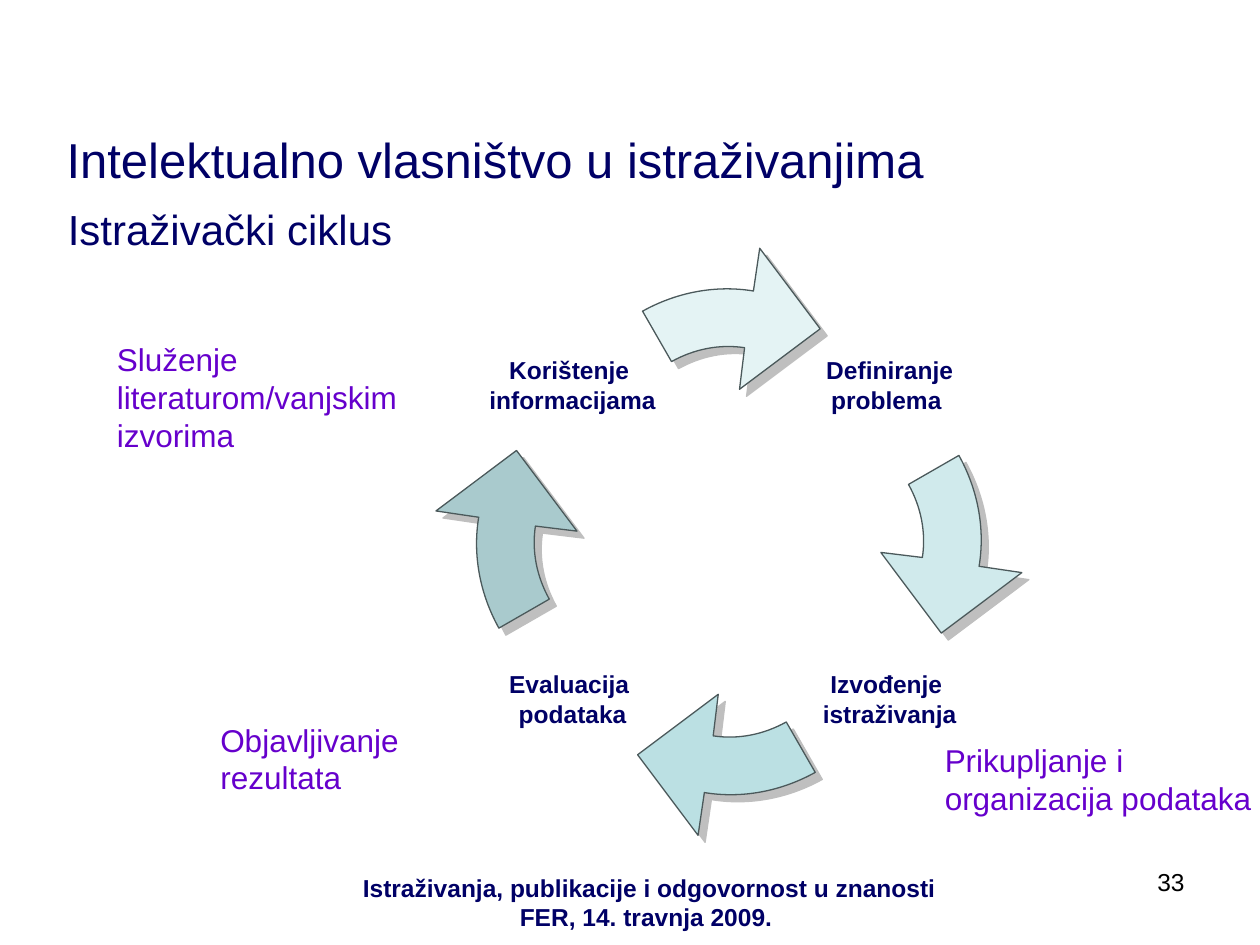
"""Build the research cycle slide, with lengths in px of 1/100 inch."""
import math
from dataclasses import dataclass

import lxml.etree
import pptx
import pptx.dml.color
import pptx.enum.shapes
import pptx.enum.text
import pptx.oxml
import pptx.oxml.ns
import pptx.util

SCALE = 9144
FONT = "Arial"
COLORS = {
    "navy": "000066", "violet": "6600CC", "black": "000000",
    "edge": "4B595B", "shade": "808080",
    "mist": "E4F3F4", "ice": "D0EAEC", "aqua": "BBE0E3", "teal": "A9CACD",
}
ALIGN = pptx.enum.text.PP_ALIGN
ANCHOR = pptx.enum.text.MSO_ANCHOR
RECT = pptx.enum.shapes.MSO_SHAPE.RECTANGLE


@dataclass(frozen=True)
class Box:
    left: int
    top: int
    width: int
    height: int


@dataclass(frozen=True)
class Label:
    text: str
    left: int
    top: int


@dataclass(frozen=True)
class Note:
    text: str
    box: Box


@dataclass(frozen=True)
class Arrow:
    color: str
    turn: int


LABELS = [
    Label("Izvođenje\n istraživanja", 652, 503),
    Label("Korištenje \ninformacijama", 403, 254),
    Label("Evaluacija \npodataka", 403, 503),
    Label(" Definiranje\nproblema", 652, 254),
]
NOTES = [
    Note("Služenje literaturom/vanjskim izvorima", Box(83, 265, 276, 100)),
    Note("Prikupljanje i\norganizacija podataka", Box(740, 583, 303, 70)),
    Note("Objavljivanje rezultata", Box(165, 567, 169, 70)),
]
ARROWS = [Arrow(name, 90 * i) for i, name in enumerate(("mist", "ice", "aqua", "teal"))]
SIDE = 273
BEND = [
    ("moveTo", [(149, 47)]),
    ("cubicBezTo", [(129, 44), (109, 48), (91, 58)]),
    ("lnTo", [(68, 18)]),
    ("cubicBezTo", [(95, 3), (126, -3), (156, 2)]),
    ("lnTo", [(161, -32)]),
    ("lnTo", [(209, 32)]),
    ("lnTo", [(145, 80)]),
    ("close", []),
]


def px(size: float) -> int:
    """Turn px into EMU."""
    return round(size * SCALE)


def tint(name: str) -> pptx.dml.color.RGBColor:
    """Look up a named colour."""
    return pptx.dml.color.RGBColor.from_string(COLORS[name])


def write(slide, text: str, box: Box, *, size: int = 14, color: str = "navy",
          bold: bool = False, align=ALIGN.LEFT, anchor=ANCHOR.TOP,
          wrap: bool = True, inset: tuple[int, int] = (10, 5)) -> None:
    """Add text with one paragraph per line, in a bare rectangle if unwrapped."""
    place = px(box.left), px(box.top), px(box.width), px(box.height)
    if wrap:
        shape = slide.shapes.add_textbox(*place)
    else:
        shape = slide.shapes.add_shape(RECT, *place)
        shape.shadow.inherit = False
        shape.fill.background()
        shape.line.fill.background()
    frame = shape.text_frame
    frame.word_wrap = wrap
    frame.vertical_anchor = anchor
    frame.margin_left = frame.margin_right = px(inset[0])
    frame.margin_top = frame.margin_bottom = px(inset[1])
    frame.text = text
    for para in frame.paragraphs:
        para.alignment = align
        for run in para.runs:
            run.font.name = FONT
            run.font.size = pptx.util.Pt(size)
            run.font.bold = bold
            run.font.color.rgb = tint(color)


def shade(shape) -> None:
    """Give a shape a hard shadow to the lower right."""
    qn = pptx.oxml.ns.qn
    shape.shadow.inherit = False
    effect = shape._element.spPr.find(qn("a:effectLst"))
    outer = lxml.etree.SubElement(effect, qn("a:outerShdw"), blurRad="0",
                                  dist="72390", dir="2700000", algn="ctr", rotWithShape="0")
    color = lxml.etree.SubElement(outer, qn("a:srgbClr"), val=COLORS["shade"])
    lxml.etree.SubElement(color, qn("a:alpha"), val="50000")


def bend(shape) -> None:
    """Give a freeform the curved arrow outline."""
    qn = pptx.oxml.ns.qn
    track = next(shape._element.iter(qn("a:path")))
    for part in list(track):
        track.remove(part)
    track.set("w", str(px(SIDE)))
    track.set("h", str(px(SIDE)))
    for kind, points in BEND:
        step = lxml.etree.SubElement(track, qn(f"a:{kind}"))
        for x, y in points:
            lxml.etree.SubElement(step, qn("a:pt"), x=str(px(x)), y=str(px(y)))


def draw(slide, arrow: Arrow) -> None:
    """Draw one bent arrow at its turn around the ring."""
    angle = math.radians(arrow.turn)
    left, top = 442 + 64 * math.sin(angle), 293.5 - 64.5 * math.cos(angle)
    path = slide.shapes.build_freeform(0, 0, scale=float(SCALE))
    path.add_line_segments([(SIDE, 0), (SIDE, SIDE), (0, SIDE)], close=True)
    shape = path.convert_to_shape(px(left), px(top))
    bend(shape)
    shape.rotation = arrow.turn
    shape.fill.solid()
    shape.fill.fore_color.rgb = tint(arrow.color)
    shape.line.color.rgb = tint("edge")
    shape.line.width = pptx.util.Pt(0.75)
    shade(shape)


def main() -> None:
    """Build and save the slide."""
    deck = pptx.Presentation()
    deck.slide_width, deck.slide_height = px(1000), px(750)
    slide = deck.slides.add_slide(deck.slide_layouts[6])
    write(slide, "Istraživanja, publikacije i odgovornost u znanosti\nFER, 14. travnja 2009. ",
          Box(102, 688, 827, 52), bold=True, align=ALIGN.CENTER)
    write(slide, "Intelektualno vlasništvo u istraživanjima", Box(43, 91, 899, 71),
          size=28, anchor=ANCHOR.MIDDLE)
    for arrow in ARROWS:
        draw(slide, arrow)
    for label in LABELS:
        write(slide, label.text, Box(label.left, label.top, 103, 103), bold=True,
              align=ALIGN.CENTER, anchor=ANCHOR.MIDDLE, wrap=False, inset=(0, 0))
    for note in NOTES:
        write(slide, note.text, note.box, size=18, color="violet")
    write(slide, "Istraživački ciklus", Box(44, 157, 284, 50), size=24)
    write(slide, "33", Box(844, 683, 106, 52), color="black", align=ALIGN.RIGHT)
    deck.save("out.pptx")


if __name__ == "__main__":
    main()
